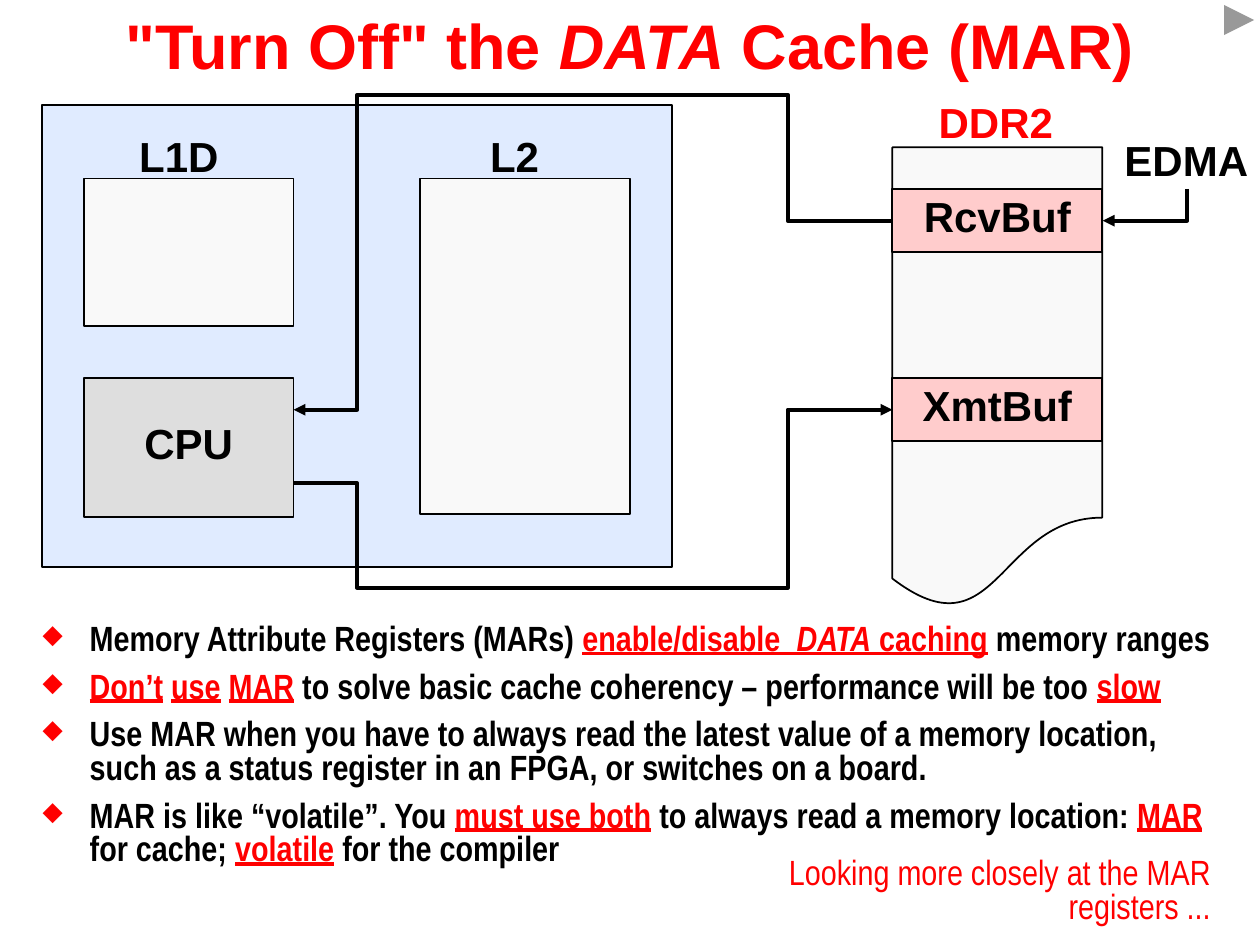
from lxml import etree
from pptx import Presentation
from pptx.dml.color import RGBColor
from pptx.enum.shapes import MSO_CONNECTOR, MSO_SHAPE
from pptx.enum.text import MSO_ANCHOR, PP_ALIGN
from pptx.oxml.ns import qn
from pptx.util import Cm, Pt

RECTANGLE = MSO_SHAPE.RECTANGLE
DOCUMENT = MSO_SHAPE.FLOWCHART_DOCUMENT
NEXT_BUTTON = MSO_SHAPE.ACTION_BUTTON_FORWARD_OR_NEXT
ELBOW = MSO_CONNECTOR.ELBOW
MIDDLE, BOTTOM = MSO_ANCHOR.MIDDLE, MSO_ANCHOR.BOTTOM
CENTER, LEFT, RIGHT = PP_ALIGN.CENTER, PP_ALIGN.LEFT, PP_ALIGN.RIGHT

BLACK = RGBColor(0x00, 0x00, 0x00)
WHITE = RGBColor(0xFF, 0xFF, 0xFF)
RED = RGBColor(0xFF, 0x00, 0x00)
CHIP_BLUE = RGBColor(0xE0, 0xEB, 0xFF)
MEMORY_GRAY = RGBColor(0xF9, 0xF9, 0xF9)
CPU_GRAY = RGBColor(0xDE, 0xDE, 0xDE)
BUFFER_PINK = RGBColor(0xFF, 0xCC, 0xCC)


def write(paragraph, text, size=24, font="Arial", color=BLACK, bold=True,
          italic=False, underline=False, align=CENTER, spacing=0.8):
    """Append one formatted run and set the paragraph's alignment and spacing."""
    paragraph.alignment = align
    paragraph.line_spacing = spacing
    run = paragraph.add_run()
    run.text = text
    run.font.size = Pt(size)
    run.font.name = font
    run.font.color.rgb = color
    run.font.bold = bold
    run.font.italic = italic
    run.font.underline = underline


def draw_arrow(line):
    line.color.rgb = BLACK
    line.width = Pt(2.25)
    etree.SubElement(line._get_or_add_ln(), qn("a:tailEnd"), type="triangle")


prs = Presentation()
prs.slide_width, prs.slide_height = Cm(25.4), Cm(19.05)
slide = prs.slides.add_slide(prs.slide_layouts[6])
shapes = slide.shapes

# Title
title = shapes.add_textbox(Cm(0), Cm(0), Cm(25.4), Cm(1.78)).text_frame
title.word_wrap = True
title.vertical_anchor = MIDDLE
for text, italic in [('"Turn Off" the ', False), ("DATA", True), (" Cache (MAR)", False)]:
    write(title.paragraphs[0], text, size=36, color=RED, italic=italic, spacing=1.0)

# Chip, memories and buffers
BLOCK_WIDTH = 4.23
CHIP_LEFT, L2_LEFT, DDR_LEFT = 1.69, 8.47, 17.99
blocks = [
    (DOCUMENT, DDR_LEFT, 2.97, BLOCK_WIDTH, 9.31, MEMORY_GRAY, ""),
    (RECTANGLE, 0.85, 2.12, 12.7, 9.31, CHIP_BLUE, ""),
    (RECTANGLE, L2_LEFT, 3.6, BLOCK_WIDTH, 6.77, MEMORY_GRAY, ""),
    (RECTANGLE, CHIP_LEFT, 7.62, BLOCK_WIDTH, 2.8, CPU_GRAY, "CPU"),
    (RECTANGLE, CHIP_LEFT, 3.6, BLOCK_WIDTH, 2.97, MEMORY_GRAY, ""),
    (RECTANGLE, DDR_LEFT, 3.81, BLOCK_WIDTH, 1.27, BUFFER_PINK, "RcvBuf"),
    (RECTANGLE, DDR_LEFT, 7.62, BLOCK_WIDTH, 1.27, BUFFER_PINK, "XmtBuf"),
]
for preset, left, top, width, height, color, text in blocks:
    block = shapes.add_shape(preset, Cm(left), Cm(top), Cm(width), Cm(height))
    block.shadow.inherit = False
    block.fill.solid()
    block.fill.fore_color.rgb = color
    block.line.color.rgb = BLACK
    block.line.width = Pt(1)
    if text:
        block.text_frame.word_wrap = False
        block.text_frame.vertical_anchor = MIDDLE
        write(block.text_frame.paragraphs[0], text)

# Labels above the blocks
labels = [
    ("L2", 8.89, 2.54, 1.4, BLACK),
    ("L1D", 2.12, 2.54, 1.4, BLACK),
    ("EDMA", 22.43, 2.84, 0.97, BLACK),
    ("DDR2", 18.59, 1.85, 1.4, RED),
]
for text, left, top, height, color in labels:
    label = shapes.add_textbox(Cm(left), Cm(top), Cm(2.97), Cm(height)).text_frame
    label.word_wrap = False
    label.vertical_anchor = MIDDLE
    label.margin_left = label.margin_right = Cm(0)
    write(label.paragraphs[0], text, color=color)

# EDMA to RcvBuf: a single bend, turned to run down and then left
edma_arrow = shapes.add_connector(ELBOW, Cm(22.76), Cm(3.28), Cm(23.4), Cm(4.98))
properties = edma_arrow._element.spPr
properties.find(qn("a:prstGeom")).set("prst", "bentConnector2")
properties.find(qn("a:xfrm")).set("rot", "5400000")
draw_arrow(edma_arrow.line)
etree.SubElement(properties, qn("a:effectLst"))

# Data paths between the CPU and the buffers
CPU_EDGE, CPU_BEND, DDR_BEND = 5.92, 7.2, 15.88
data_paths = [
    [(DDR_LEFT, 4.45), (DDR_BEND, 4.45), (DDR_BEND, 1.91),
     (CPU_BEND, 1.91), (CPU_BEND, 8.26), (CPU_EDGE, 8.26)],
    [(CPU_EDGE, 9.74), (CPU_BEND, 9.74), (CPU_BEND, 11.85),
     (DDR_BEND, 11.85), (DDR_BEND, 8.26), (DDR_LEFT, 8.26)],
]
for data_path in data_paths:
    start, *corners = [(Cm(x), Cm(y)) for x, y in data_path]
    builder = shapes.build_freeform(*start)
    builder.add_line_segments(corners, close=False)
    route = builder.convert_to_shape()
    route.shadow.inherit = False
    route.fill.background()
    draw_arrow(route.line)

# Bullets
KEY = {"color": RED, "underline": True}
bullets = [
    [("Memory Attribute Registers (MARs) ", {}), ("enable/disable  ", KEY),
     ("DATA", {**KEY, "italic": True}), (" caching", KEY), (" memory ranges", {})],
    [("Don’t", KEY), (" ", {}), ("use", KEY), (" ", {}), ("MAR", KEY),
     (" to solve basic cache coherency – performance will be too ", {}), ("slow", KEY)],
    [("Use MAR when you have to always read the latest value of a memory location, "
      "such as a status register in an FPGA, or switches on a board.", {})],
    [("MAR is like “volatile”. You ", {}), ("must use both", KEY),
     (" to always read a memory location: ", {}), ("MAR", KEY),
     (" for cache; ", {}), ("volatile", KEY), (" for the compiler", {})],
]
notes = shapes.add_textbox(Cm(0.61), Cm(12.47), Cm(24.38), Cm(5.38)).text_frame
notes.word_wrap = True
for index, pieces in enumerate(bullets):
    paragraph = notes.add_paragraph() if index else notes.paragraphs[0]
    paragraph.space_before = Pt(8)
    for text, emphasis in pieces:
        write(paragraph, text, size=20, font="Arial Narrow", align=LEFT, **emphasis)
    settings = paragraph._p.get_or_add_pPr()
    settings.set("marL", str(Cm(0.95)))
    settings.set("indent", str(-Cm(0.95)))
    bullet_color = etree.SubElement(settings, qn("a:buClr"))
    etree.SubElement(bullet_color, qn("a:srgbClr"), val=str(RED))
    etree.SubElement(settings, qn("a:buSzPct"), val="75000")
    etree.SubElement(settings, qn("a:buChar"), char="◆")

# Lead-in to the next slide
lead_in = shapes.add_textbox(Cm(13.74), Cm(17.3), Cm(10.67), Cm(1.37)).text_frame
lead_in.word_wrap = True
lead_in.vertical_anchor = BOTTOM
lead_in.margin_left = lead_in.margin_right = Cm(0)
lead_in.margin_top = lead_in.margin_bottom = Cm(0)
write(lead_in.paragraphs[0], "Looking more closely at the MAR registers ...",
      size=20, font="Arial Narrow", color=RED, bold=False, align=RIGHT)

next_button = shapes.add_shape(NEXT_BUTTON, Cm(24.56), Cm(0), Cm(0.84), Cm(0.81))
next_button.shadow.inherit = False
next_button.fill.solid()
next_button.fill.fore_color.rgb = WHITE
next_button.line.fill.background()

prs.save("out.pptx")
